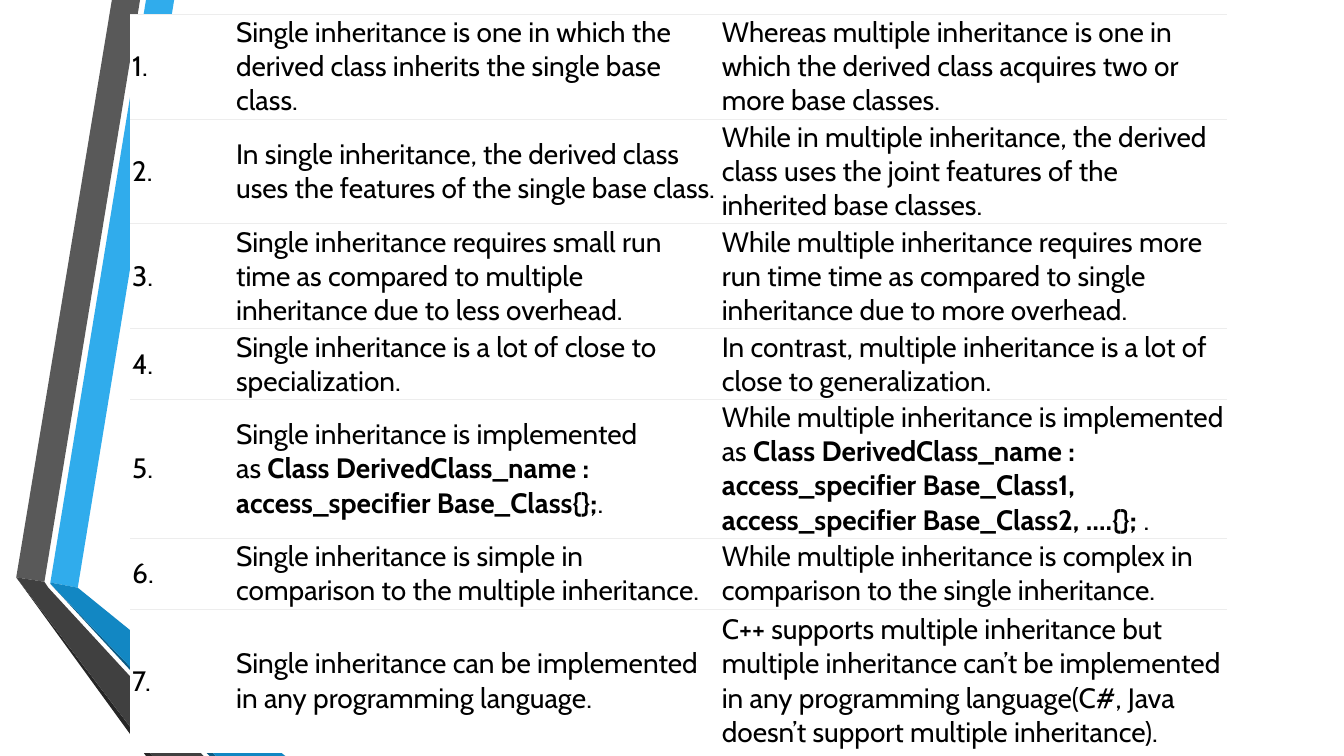
from pptx import Presentation
from pptx.dml.color import RGBColor
from pptx.enum.text import MSO_ANCHOR
from pptx.oxml.ns import qn
from pptx.util import Cm, Pt
from lxml.etree import SubElement

COMPARISON = [
    ("Single inheritance is one in which the derived class inherits the single base class.",
     "Whereas multiple inheritance is one in which the derived class acquires two or more base classes."),
    ("In single inheritance, the derived class uses the features of the single base class.",
     "While in multiple inheritance, the derived class uses the joint features of the inherited base classes."),
    ("Single inheritance requires small run time as compared to multiple inheritance due to less overhead.",
     "While multiple inheritance requires more run time time as compared to single inheritance due to more overhead."),
    ("Single inheritance is a lot of close to specialization.",
     "In contrast, multiple inheritance is a lot of close to generalization."),
    ("Single inheritance is implemented as\u00a0**Class DerivedClass_name : access_specifier Base_Class{};**.",
     "While multiple inheritance is implemented as\u00a0**Class DerivedClass_name : access_specifier "
     "Base_Class1, access_specifier Base_Class2, \u2026.{};**\u00a0."),
    ("Single inheritance is simple in comparison to the multiple inheritance.",
     "While multiple inheritance is complex in comparison to the single inheritance."),
    ("Single inheritance can be implemented in any programming language.",
     "C++ supports multiple inheritance but multiple inheritance can\u2019t be implemented in any "
     "programming language(C#, Java doesn\u2019t support multiple inheritance)."),
]
COLORS = {
    "blue": "30ACEC", "gray": "595959", "black": "262626", "navy": "0C5A82",
    "deep blue": "1287C3", "dark gray": "404040", "rule": "EDEDED",
    "cell": "FFFFFF", "text": "000000",
}
RIBBONS = [
    ("blue", [(1.27, 14.68), (1.96, 14.81), (4.39, 0), (3.68, 0)]),
    ("gray", [(3.53, 0), (2.82, 0), (0.41, 14.55), (1.12, 14.66)]),
    ("black", [(0.41, 14.55), (3.68, 19.05), (3.84, 19.05)]),
    ("navy", [(1.27, 14.71), (5.28, 19.05), (5.44, 19.05)]),
    ("deep blue", [(1.27, 14.71), (5.44, 19.05), (7.19, 19.05), (1.96, 14.81), (1.27, 14.68)]),
    ("dark gray", [(5.13, 19.05), (1.22, 14.81), (1.12, 14.66), (0.41, 14.55), (3.84, 19.05)]),
]
COLUMN_WIDTHS = [2.62, 12.24, 12.78]
ROW_HEIGHTS = [2.51, 2.51, 2.51, 1.7, 3.38, 1.7, 3.63]
TABLE_LEFT, TABLE_TOP = 3.28, 0.36
CELL_FORMAT = {
    "margin_left": Cm(0.05), "margin_right": Cm(0.05),
    "margin_top": Cm(0.03), "margin_bottom": Cm(0.03),
    "vertical_anchor": MSO_ANCHOR.MIDDLE,
}
FONT_FORMAT = {"name": "Cabin", "size": Pt(20)}


def color(name):
    return RGBColor.from_string(COLORS[name])


def apply(target, values):
    for name, value in values.items():
        setattr(target, name, value)


def add_ribbon(slide, fill, points):
    start, *rest = [(Cm(x), Cm(y)) for x, y in points]
    builder = slide.shapes.build_freeform(*start)
    builder.add_line_segments(rest, close=True)
    shape = builder.convert_to_shape()
    shape.shadow.inherit = False
    shape.fill.solid()
    shape.fill.fore_color.rgb = color(fill)
    shape.line.fill.background()


def add_borders(cell, ruled_sides):
    properties = cell._tc.get_or_add_tcPr()
    for side in "LRTB":
        line = SubElement(properties, qn(f"a:ln{side}"), w=str(Pt(0.75)))
        if side in ruled_sides:
            fill = SubElement(line, qn("a:solidFill"))
            SubElement(fill, qn("a:srgbClr"), val=COLORS["rule"])
        else:
            SubElement(line, qn("a:noFill"))


def fill_cell(cell, text, ruled_sides):
    apply(cell, CELL_FORMAT)
    add_borders(cell, ruled_sides)
    cell.fill.solid()
    cell.fill.fore_color.rgb = color("cell")
    paragraph = cell.text_frame.paragraphs[0]
    for index, part in enumerate(text.split("**")):
        run = paragraph.add_run()
        run.text = part
        apply(run.font, FONT_FORMAT | {"bold": index % 2 == 1})
        run.font.color.rgb = color("text")


def add_comparison(slide):
    table = slide.shapes.add_table(
        len(COMPARISON), len(COLUMN_WIDTHS), Cm(TABLE_LEFT), Cm(TABLE_TOP),
        Cm(sum(COLUMN_WIDTHS)), Cm(sum(ROW_HEIGHTS))).table
    apply(table, {"first_row": False, "horz_banding": False})
    for column, width in zip(table.columns, COLUMN_WIDTHS):
        column.width = Cm(width)
    for row, height in zip(table.rows, ROW_HEIGHTS):
        row.height = Cm(height)
    for number, (row, texts) in enumerate(zip(table.rows, COMPARISON), 1):
        ruled_sides = "T" if number == len(COMPARISON) else "TB"
        for cell, text in zip(row.cells, (f"{number}.", *texts)):
            fill_cell(cell, text, ruled_sides)


presentation = Presentation()
apply(presentation, {"slide_width": Cm(33.87), "slide_height": Cm(19.05)})
slide = presentation.slides.add_slide(presentation.slide_layouts[6])
for fill, points in RIBBONS:
    add_ribbon(slide, fill, points)
add_comparison(slide)
presentation.save("out.pptx")
